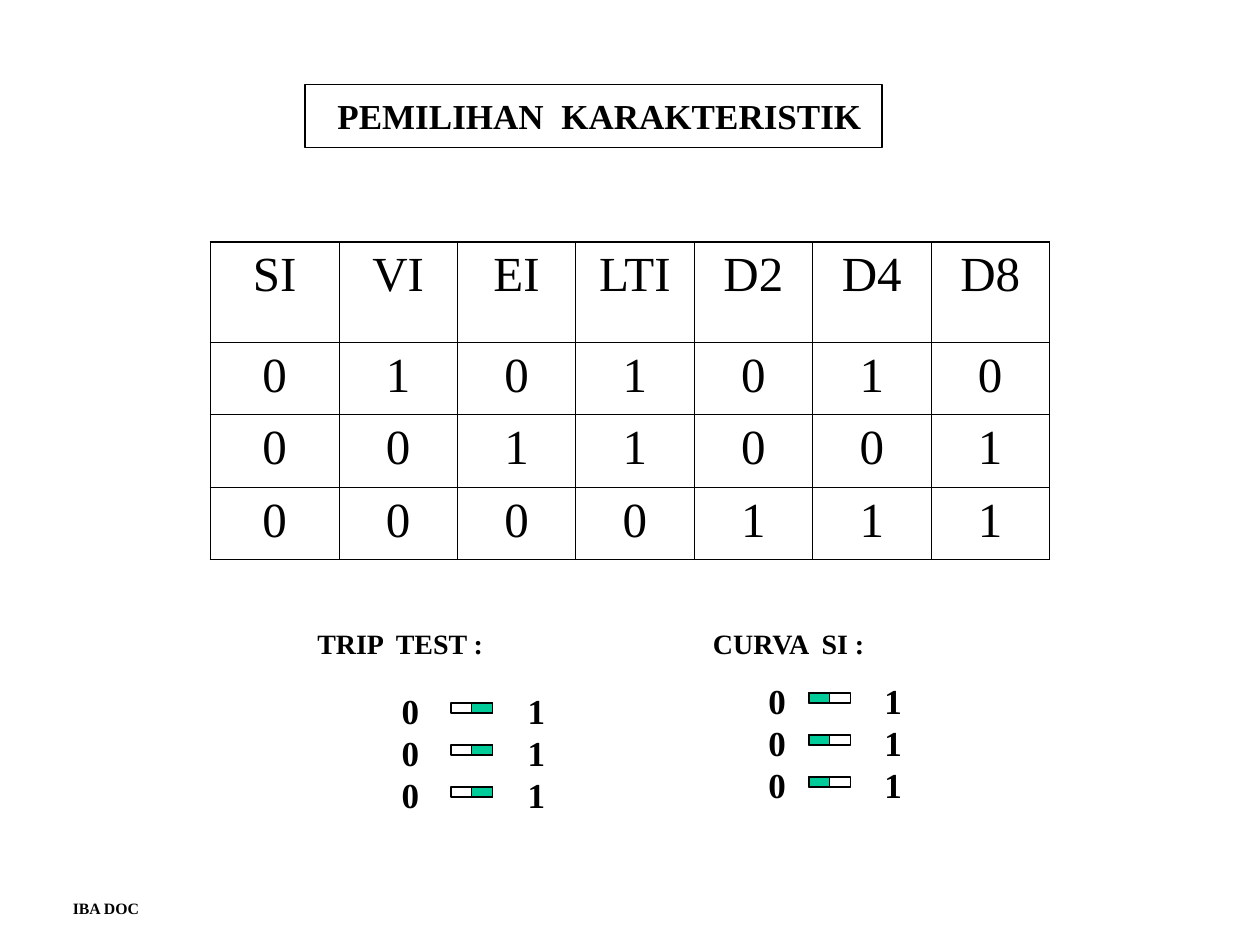
from dataclasses import dataclass

from lxml import etree
from pptx import Presentation
from pptx.dml.color import RGBColor
from pptx.enum.shapes import MSO_SHAPE as Shape
from pptx.enum.text import MSO_AUTO_SIZE as AutoSize, PP_ALIGN as Align
from pptx.oxml.ns import qn
from pptx.util import Inches, Pt

FONT = "Times New Roman"
COLORS = {"ink": "000000", "lever": "00CC99"}
THIN, THICK = 0.45, 1.08

HEADERS = ["SI", "VI", "EI", "LTI", "D2", "D4", "D8"]
BITS = ["0101010", "0011001", "0000111"]
COL_WIDTHS = [1.02] + [0.94] * 6
ROW_HEIGHTS = [0.8, 0.57, 0.58, 0.57]

SWITCH_W, SWITCH_H = 0.33, 0.08
SWITCH_COUNT, SWITCH_PITCH = 3, 1 / 3
LABEL_RISE = 0.16


@dataclass
class SwitchBank:
    zero_x: float
    switch_x: float
    one_x: float
    top: float
    bit: int


BANKS = [
    SwitchBank(3.09, 3.58, 4.09, 5.58, bit=1),
    SwitchBank(6, 6.42, 6.92, 5.5, bit=0),
]


def rgb(name: str) -> RGBColor:
    return RGBColor.from_string(COLORS[name])


def write(tf, text: str, *, size: float, bold: bool = True, align=Align.LEFT,
          tab: float | None = None) -> None:
    """Fill a text frame with one paragraph, with an optional tab stop in inches."""
    p = tf.paragraphs[0]
    p.alignment = align
    if tab is not None:
        tabs = etree.SubElement(p._p.get_or_add_pPr(), qn("a:tabLst"))
        etree.SubElement(tabs, qn("a:tab"), pos=str(Inches(tab)), algn="l")
    r = p.add_run()
    r.text = text
    r.font.name, r.font.size, r.font.bold = FONT, Pt(size), bold
    r.font.color.rgb = rgb("ink")


def add_text(slide, text: str, x: float, y: float, w: float, h: float, **fmt) -> None:
    tf = slide.shapes.add_textbox(Inches(x), Inches(y), Inches(w), Inches(h)).text_frame
    tf.word_wrap = False
    tf.auto_size = AutoSize.SHAPE_TO_FIT_TEXT
    write(tf, text, **fmt)


def add_rect(slide, x: float, y: float, w: float, h: float, fill: str | None = None) -> None:
    sp = slide.shapes.add_shape(Shape.RECTANGLE, Inches(x), Inches(y), Inches(w), Inches(h))
    sp.shadow.inherit = False
    if fill:
        sp.fill.solid()
        sp.fill.fore_color.rgb = rgb(fill)
    else:
        sp.fill.background()
    sp.line.color.rgb = rgb("ink")
    sp.line.width = Pt(0.75)


def set_borders(cell, widths: dict[str, float]) -> None:
    """Draw the cell's borders; widths maps L, R, T and B, in that order, to points."""
    tc_pr = cell._tc.get_or_add_tcPr()
    for side, width in widths.items():
        ln = etree.SubElement(tc_pr, qn(f"a:ln{side}"), w=str(Pt(width)))
        fill = etree.SubElement(ln, qn("a:solidFill"))
        etree.SubElement(fill, qn("a:srgbClr"), val=COLORS["ink"])


def add_code_table(slide, x: float, y: float) -> None:
    rows = [HEADERS, *BITS]
    last_row, last_col = len(rows) - 1, len(HEADERS) - 1
    table = slide.shapes.add_table(
        len(rows), len(HEADERS), Inches(x), Inches(y),
        Inches(sum(COL_WIDTHS)), Inches(sum(ROW_HEIGHTS))).table
    table.first_row = table.horz_banding = False
    for column, width in zip(table.columns, COL_WIDTHS):
        column.width = Inches(width)
    for row, height in zip(table.rows, ROW_HEIGHTS):
        row.height = Inches(height)
    for i, values in enumerate(rows):
        for j, value in enumerate(values):
            cell = table.cell(i, j)
            write(cell.text_frame, value, size=28, bold=False, align=Align.CENTER)
            on_edge = {"L": j == 0, "R": j == last_col, "T": i == 0, "B": i == last_row}
            set_borders(cell, {s: THICK if edge else THIN for s, edge in on_edge.items()})
            cell.fill.background()


def add_switch_bank(slide, bank: SwitchBank) -> None:
    lever_w = SWITCH_W / 2
    for i in range(SWITCH_COUNT):
        y = bank.top + i * SWITCH_PITCH
        add_rect(slide, bank.switch_x, y, SWITCH_W, SWITCH_H)
        add_rect(slide, bank.switch_x + bank.bit * lever_w, y, lever_w, SWITCH_H, "lever")
        for digit, x in (("0", bank.zero_x), ("1", bank.one_x)):
            add_text(slide, digit, x, y - LABEL_RISE, 0.34, 0.44, size=20)


def main() -> None:
    prs = Presentation()
    prs.slide_width, prs.slide_height = Inches(10), Inches(7.5)
    slide = prs.slides.add_slide(prs.slide_layouts[6])

    add_text(slide, "PEMILIHAN  KARAKTERISTIK", 2.58, 0.7, 4.36, 0.44, size=20)
    add_code_table(slide, 1.67, 1.92)
    for bank in BANKS:
        add_switch_bank(slide, bank)
    add_text(slide, "TRIP  TEST :\tCURVA  SI :", 2.42, 4.92, 4.61, 0.37, size=16, tab=3.14)
    add_rect(slide, 2.42, 0.67, 4.58, 0.5)
    add_text(slide, "IBA DOC", 0.48, 7.08, 0.73, 0.25, size=9)

    prs.save("out.pptx")


if __name__ == "__main__":
    main()
